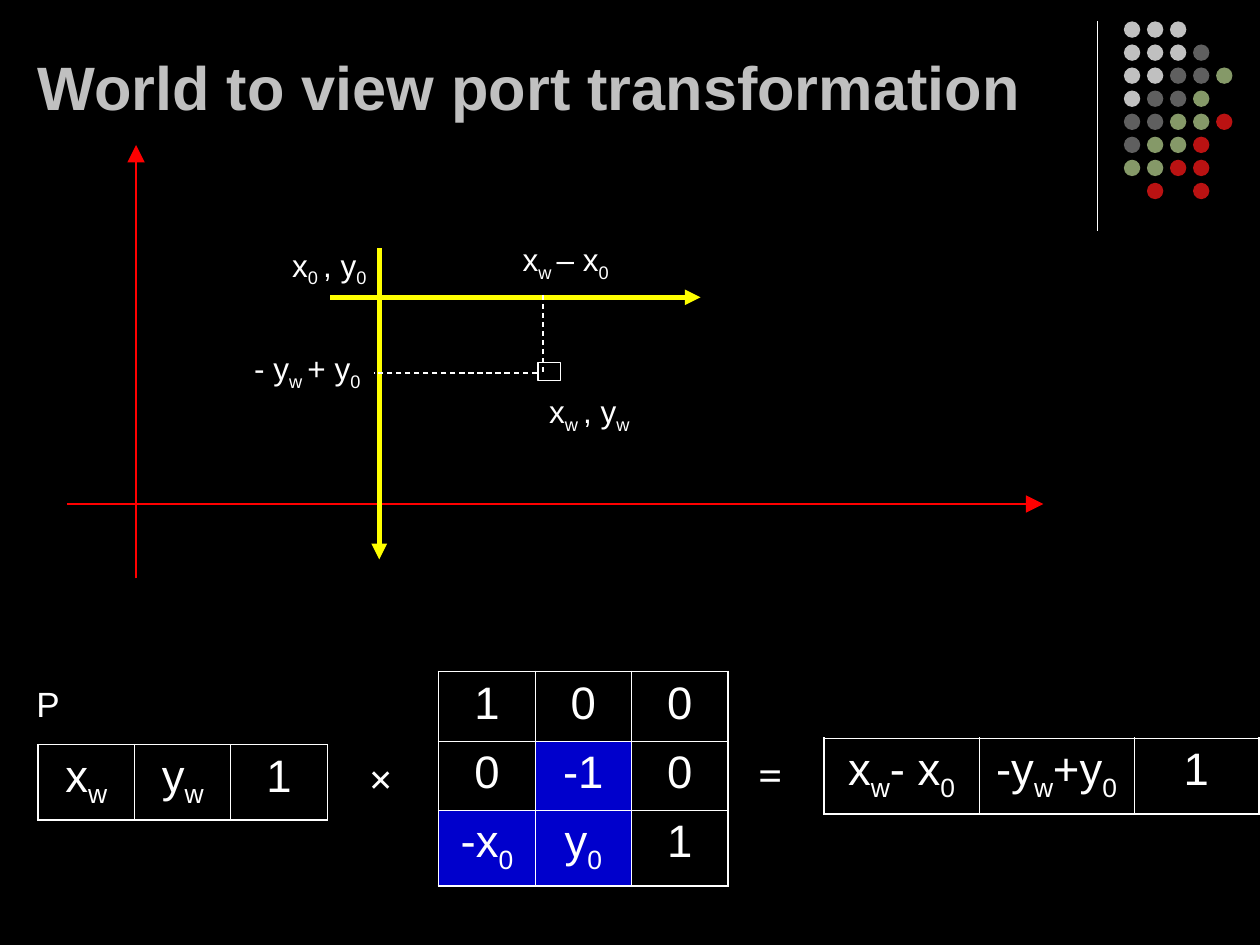
import pptx
import pptx.util
import pptx.dml.color
import pptx.enum.dml
import pptx.enum.shapes
import pptx.enum.text
import pptx.oxml
import pptx.oxml.ns
import lxml.etree

Inches, Pt = pptx.util.Inches, pptx.util.Pt
WHITE, SILVER, RED, YELLOW, BLUE = "FFFFFF", "C0C0C0", "FF0000", "FFFF00", "0000CC"

# Content: in a label, underscores enclose a subscript
TITLE = "World to view port transformation"
DOTS = ["SSS", "SSSG", "SSGGO", "SGGO", "GGOOR", "GOOR", "OORR", " R R"]
DOT_COLORS = {"S": SILVER, "G": "5F5F5F", "O": "859968", "R": "BA1212"}

# start, end, colour, width, dash, arrowhead size
LINES = [
    ((8.71, 0.17), (8.71, 1.83), WHITE, 0.75, False, None),
    ((1.08, 4.59), (1.08, 1.15), RED, 0.75, False, "lg"),
    ((0.53, 4.00), (8.28, 4.00), RED, 0.75, False, "lg"),
    ((3.01, 1.97), (3.01, 4.44), YELLOW, 3, False, "med"),
    ((2.62, 2.36), (5.56, 2.36), YELLOW, 3, False, "med"),
    ((4.26, 2.96), (2.97, 2.96), WHITE, 0.75, True, None),
    ((4.31, 2.34), (4.31, 2.97), WHITE, 0.75, True, None),
]

TITLE_FONT = {"name": "Arial", "size": Pt(35), "bold": True}
LABEL_FONT = {"name": "Arial", "size": Pt(18)}
NAME_FONT = {"name": "Arial", "size": Pt(20)}
SIGN_FONT = {"name": "Times New Roman", "size": Pt(24), "bold": True}
CELL_FONT = {"name": "Arial", "size": Pt(26)}

# text, box, font, space before
LABELS = [
    ("x_0 _, y_0_", (2.22, 1.90, 1.12, 0.44), LABEL_FONT, 11.2),
    ("x_w _, y_w_", (4.26, 3.06, 1.12, 0.44), LABEL_FONT, 11.2),
    (" - y_w _+ y_0_", (1.85, 2.72, 1.30, 0.44), LABEL_FONT, 11.2),
    (" x_w _– x_0_", (3.98, 1.86, 1.30, 0.44), LABEL_FONT, 11.2),
    ("P", (0.19, 5.37, 0.81, 0.44), NAME_FONT, 12.5),
    ("×", (2.83, 5.92, 0.45, 0.50), SIGN_FONT, 15),
    ("=", (5.92, 5.89, 0.45, 0.50), SIGN_FONT, 15),
]

# left, top, column widths, row heights, rows, filled cells
MATRICES = [
    (0.30, 5.91, [0.77, 0.76, 0.77], [0.6], [["x_w_", "y_w_", "1"]], []),
    (3.48, 5.33, [0.77, 0.76, 0.77], [0.55, 0.55, 0.6],
     [["1", "0", "0"], ["0", "-1", "0"], ["-x_0_", "y_0_", "1"]],
     [(1, 1), (2, 0), (2, 1)]),
    (6.54, 5.86, [1.23, 1.23, 0.99], [0.6],
     [["x_w_- x_0_", "-y_w_+y_0_", "1"]], []),
]


def rgb(value):
    return pptx.dml.color.RGBColor.from_string(value)


def write(p, text, font, color=WHITE, before=0):
    p.space_before = Pt(before)
    for i, part in enumerate(text.split("_")):
        if not part:
            continue
        r = p.add_run()
        r.text = part
        for key, value in font.items():
            setattr(r.font, key, value)
        r.font.color.rgb = rgb(color)
        if i % 2:
            r.font._element.set("baseline", "-25000")


def add_text(s, text, box, font, color=WHITE, before=0, **frame):
    tf = s.shapes.add_textbox(*map(Inches, box)).text_frame
    for key, value in {"word_wrap": True, **frame}.items():
        setattr(tf, key, value)
    write(tf.paragraphs[0], text, font, color, before)


def add_line(s, start, end, color, width, dash, head):
    sp = s.shapes.add_connector(pptx.enum.shapes.MSO_CONNECTOR.STRAIGHT,
                                *map(Inches, start + end))
    sp.line.color.rgb = rgb(color)
    sp.line.width = Pt(width)
    if dash:
        sp.line.dash_style = pptx.enum.dml.MSO_LINE.DASH
    if head:
        lxml.etree.SubElement(sp.line._get_or_add_ln(), pptx.oxml.ns.qn("a:tailEnd"),
                              type="triangle", w=head, len=head)
    lxml.etree.SubElement(sp._element.spPr, pptx.oxml.ns.qn("a:effectLst"))


def add_preset(s, kind, box, fill=None, line=None):
    sp = s.shapes.add_shape(kind, *map(Inches, box))
    sp.shadow.inherit = False
    for fmt, color in ((sp.fill, fill), (sp.line.fill, line)):
        if color:
            fmt.solid()
            fmt.fore_color.rgb = rgb(color)
        else:
            fmt.background()
    if line:
        sp.line.width = Pt(0.75)


def set_borders(cell, outer):
    tcPr = cell._tc.get_or_add_tcPr()
    for i, side in enumerate("LRTB"):
        width = Pt(1.08 if outer[side] else 0.45)
        tcPr.insert(i, pptx.oxml.parse_xml(
            f'<a:ln{side} {pptx.oxml.ns.nsdecls("a")} w="{width}"><a:solidFill>'
            f'<a:srgbClr val="{WHITE}"/></a:solidFill></a:ln{side}>'))


def add_matrix(s, left, top, widths, heights, rows, filled):
    box = (left, top, sum(widths), sum(heights))
    table = s.shapes.add_table(len(rows), len(widths), *map(Inches, box)).table
    table.first_row = table.horz_banding = False
    for col, width in zip(table.columns, widths):
        col.width = Inches(width)
    for i, row in enumerate(rows):
        table.rows[i].height = Inches(heights[i])
        for j, text in enumerate(row):
            cell = table.cell(i, j)
            if (i, j) in filled:
                cell.fill.solid()
                cell.fill.fore_color.rgb = rgb(BLUE)
            else:
                cell.fill.background()
            set_borders(cell, {"L": j == 0, "R": j == len(row) - 1,
                               "T": i == 0, "B": i == len(rows) - 1})
            p = cell.text_frame.paragraphs[0]
            p.alignment = pptx.enum.text.PP_ALIGN.CENTER
            write(p, text, CELL_FONT, before=6.5)


def main():
    prs = pptx.Presentation()
    prs.slide_width, prs.slide_height = Inches(10), Inches(7.5)
    s = prs.slides.add_slide(prs.slide_layouts[6])
    s.background.fill.solid()
    s.background.fill.fore_color.rgb = rgb("000000")

    # Corner dots
    pitch, size = 0.183, 0.13
    for i, row in enumerate(DOTS):
        for j, key in enumerate(row):
            if key != " ":
                add_preset(s, pptx.enum.shapes.MSO_SHAPE.OVAL,
                           (8.92 + j * pitch, 0.17 + i * pitch, size, size),
                           fill=DOT_COLORS[key])

    # Title
    add_text(s, TITLE, (0.2, 0.13, 8.25, 0.89), TITLE_FONT, SILVER,
             vertical_anchor=pptx.enum.text.MSO_ANCHOR.BOTTOM)

    # Axes, view port and point
    for line in LINES:
        add_line(s, *line)
    add_preset(s, pptx.enum.shapes.MSO_SHAPE.RECTANGLE,
               (4.27, 2.88, 0.18, 0.14), line=WHITE)

    # Labels and matrix product
    for text, box, font, before in LABELS:
        add_text(s, text, box, font, before=before,
                 auto_size=pptx.enum.text.MSO_AUTO_SIZE.SHAPE_TO_FIT_TEXT)
    for matrix in MATRICES:
        add_matrix(s, *matrix)

    prs.save("out.pptx")


if __name__ == "__main__":
    main()
